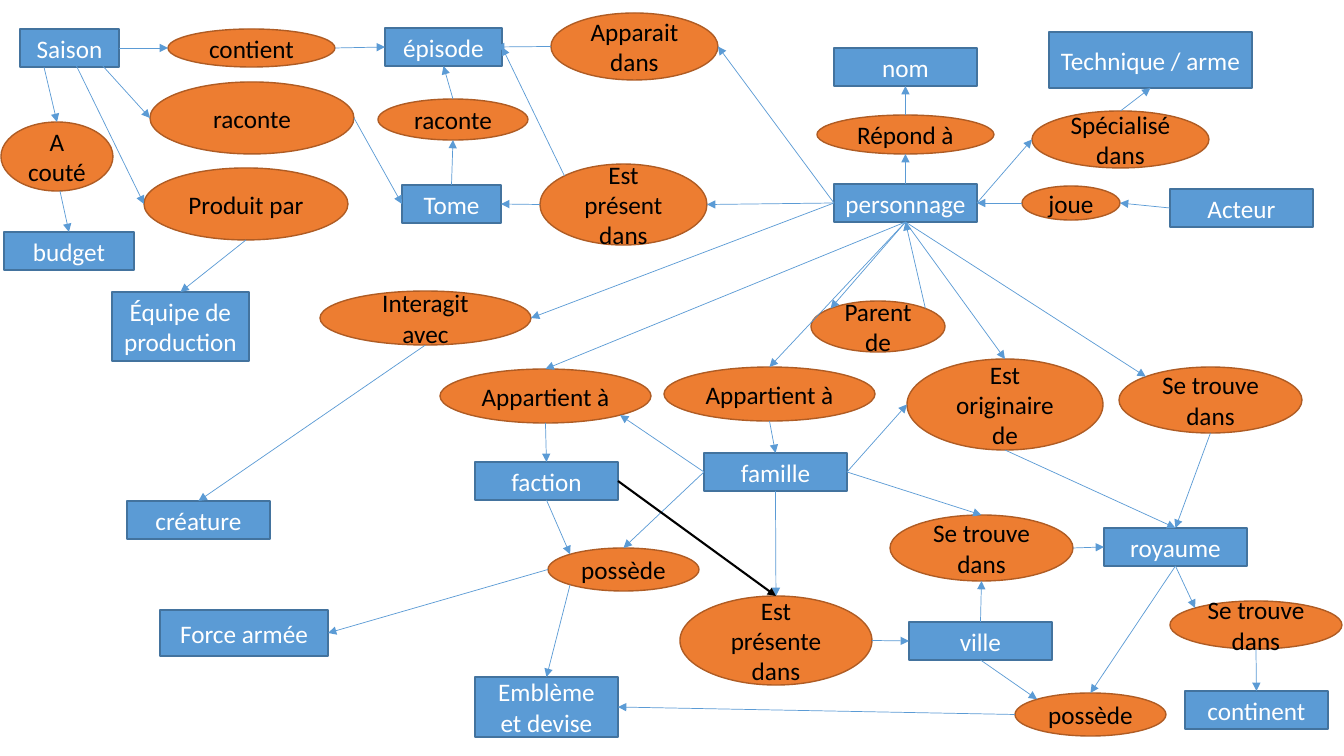
from lxml.etree import SubElement
from pptx import Presentation
from pptx.dml.color import RGBColor
from pptx.enum.shapes import MSO_CONNECTOR as Connector, MSO_SHAPE as Shape
from pptx.enum.text import MSO_ANCHOR as Anchor, PP_ALIGN as Align
from pptx.oxml.ns import qn
from pptx.util import Pt

SCALE = 914400 / 100.8
BLUE = RGBColor(0x5B, 0x9B, 0xD5)
DARK_BLUE = RGBColor(0x43, 0x73, 0x9E)
ORANGE = RGBColor(0xED, 0x7D, 0x31)
BROWN = RGBColor(0xAF, 0x5C, 0x24)
BLACK = RGBColor(0, 0, 0)
WHITE = RGBColor(255, 255, 255)

ENTITY_W, ENTITY_H = 143, 38
ENTITIES = [
    ("Saison", 20, 29, 99, ENTITY_H),
    ("épisode", 385, 28, 117, ENTITY_H),
    ("Tome", 402, 185, 99, ENTITY_H),
    ("budget", 4, 232, 130, ENTITY_H),
    ("Équipe de production", 112, 292, 137, 69),
    ("nom", 834, 48, ENTITY_W, ENTITY_H),
    ("personnage", 834, 184, ENTITY_W, ENTITY_H),
    ("Technique / arme", 1049, 32, 203, 56),
    ("Acteur", 1170, 189, ENTITY_W, ENTITY_H),
    ("famille", 704, 453, ENTITY_W, ENTITY_H),
    ("faction", 475, 462, ENTITY_W, ENTITY_H),
    ("royaume", 1104, 528, ENTITY_W, ENTITY_H),
    ("créature", 127, 501, ENTITY_W, ENTITY_H),
    ("ville", 909, 622, ENTITY_W, ENTITY_H),
    ("Emblème et devise", 475, 677, ENTITY_W, 60),
    ("Force armée", 160, 610, 168, 46),
    ("continent", 1185, 691, ENTITY_W, ENTITY_H),
]

RELATIONS = [
    ("contient", "contient", 168, 29, 167, 38),
    ("saison raconte", "raconte", 150, 82, 204, 72),
    ("produit", "Produit par", 144, 168, 204, 72),
    ("coûte", "A couté", 1, 122, 112, 69),
    ("apparaît", "Apparait dans", 551, 13, 167, 67),
    ("joue", "joue", 1022, 186, 98, 34),
    ("présent", "Est présent dans", 540, 164, 167, 81),
    ("tome raconte", "raconte", 378, 99, 150, 41),
    ("répond", "Répond à", 817, 115, 177, 39),
    ("spécialisé", "Spécialisé dans", 1032, 111, 177, 57),
    ("interagit", "Interagit avec", 320, 291, 211, 54),
    ("parent", "Parent de", 811, 301, 134, 51),
    ("à famille", "Appartient à", 664, 367, 211, 54),
    ("à faction", "Appartient à", 440, 369, 211, 54),
    ("originaire", "Est originaire de", 907, 359, 196, 91),
    ("personnage situé", "Se trouve dans", 1119, 367, 183, 66),
    ("ville située", "Se trouve dans", 890, 515, 183, 66),
    ("royaume situé", "Se trouve dans", 1170, 601, 172, 48),
    ("présente", "Est présente dans", 680, 596, 192, 89),
    ("groupe possède", "possède", 548, 548, 151, 43),
    ("lieu possède", "possède", 1015, 693, 151, 43),
]

DIAGONAL = 0.5 ** 1.5
NEAR, FAR = 0.5 - DIAGONAL, 0.5 + DIAGONAL
RECT_SITES = {"top": (0, 0.5, 0), "left": (1, 0, 0.5),
              "bottom": (2, 0.5, 1), "right": (3, 1, 0.5)}
OVAL_SITES = {"top": (0, 0.5, 0), "top left": (1, NEAR, NEAR),
              "left": (2, 0, 0.5), "bottom left": (3, NEAR, FAR),
              "bottom": (4, 0.5, 1), "bottom right": (5, FAR, FAR),
              "right": (6, 1, 0.5), "top right": (7, FAR, NEAR)}

LINKS = [
    (("Saison", "right"), ("contient", "left")),
    (("contient", "right"), ("épisode", "left")),
    ((101, 64), ("saison raconte", "left")),
    (("saison raconte", "right"), ("Tome", "left")),
    ((76, 65), ("produit", "left")),
    (("produit", "bottom"), ("Équipe de production", "top")),
    ((44, 67), ("coûte", "top")),
    ((60, 191), ("budget", "top")),
    (("apparaît", "left"), (496, 47)),
    (("personnage", "left"), ("apparaît", "right")),
    (("joue", "left"), ("personnage", "right")),
    (("Acteur", "left"), ("joue", "right")),
    (("personnage", "left"), ("présent", "right")),
    (("présent", "left"), ("Tome", "right")),
    (("présent", "top left"), ("épisode", "right")),
    (("Tome", "top"), ("tome raconte", "bottom")),
    (("tome raconte", "top"), ("épisode", "bottom")),
    (("personnage", "top"), ("répond", "bottom")),
    (("répond", "top"), ("nom", "bottom")),
    (("personnage", "right"), ("spécialisé", "left")),
    (("spécialisé", "top"), ("Technique / arme", "bottom")),
    (("personnage", "left"), ("interagit", "right")),
    (("interagit", "bottom"), ("créature", "top")),
    (("personnage", "bottom"), ("parent", "top left")),
    (("parent", "top right"), ("personnage", "bottom")),
    (("personnage", "bottom"), ("à famille", "top")),
    (("à famille", "bottom"), ("famille", "top")),
    (("personnage", "bottom"), ("à faction", "top")),
    (("à faction", "bottom"), ("faction", "top")),
    (("famille", "left"), ("à faction", "bottom right")),
    (("personnage", "bottom"), ("originaire", "top")),
    (("famille", "right"), ("originaire", "left")),
    (("originaire", "bottom"), ("royaume", "top")),
    (("personnage", "bottom"), ("personnage situé", "top left")),
    (("personnage situé", "bottom"), ("royaume", "top")),
    (("famille", "right"), ("ville située", "top")),
    (("ville", "top"), ("ville située", "bottom")),
    (("ville située", "right"), ("royaume", "left")),
    (("famille", "bottom"), ("présente", "top")),
    (("présente", "right"), ("ville", "left")),
    (("famille", "left"), ("groupe possède", "top")),
    (("faction", "bottom"), ("groupe possède", "top left")),
    (("groupe possède", "bottom left"), ("Emblème et devise", "top")),
    (("groupe possède", "left"), ("Force armée", "right")),
    (("ville", "bottom"), ("lieu possède", "top left")),
    (("royaume", "bottom"), ("lieu possède", "top")),
    (("lieu possède", "left"), ("Emblème et devise", "right")),
    (("royaume", "bottom"), ("royaume situé", "top left")),
    (("royaume situé", "bottom"), ("continent", "top")),
]


def px(length):
    return round(length * SCALE)


def write_text(shape, text, size=18, color=BLACK, font="Calibri", align=Align.CENTER):
    frame = shape.text_frame
    frame.word_wrap = True
    frame.vertical_anchor = Anchor.MIDDLE
    paragraph = frame.paragraphs[0]
    paragraph.alignment = align
    run = paragraph.add_run()
    run.text = text
    run.font.size = Pt(size)
    run.font.name = font
    run.font.color.rgb = color


def add_node(slide, kind, text, box, fill, outline, color):
    node = slide.shapes.add_shape(kind, *map(px, box))
    node.shadow.inherit = False
    node.fill.solid()
    node.fill.fore_color.rgb = fill
    node.line.color.rgb = outline
    node.line.width = Pt(1)
    write_text(node, text, color=color)
    return node


def add_entity(slide, text, *box):
    return add_node(slide, Shape.RECTANGLE, text, box, BLUE, DARK_BLUE, WHITE), RECT_SITES


def add_relation(slide, text, *box):
    return add_node(slide, Shape.OVAL, text, box, ORANGE, BROWN, BLACK), OVAL_SITES


def locate(nodes, end):
    if end[0] not in nodes:
        return px(end[0]), px(end[1]), None
    node, sites = nodes[end[0]]
    site, across, down = sites[end[1]]
    x = round(node.left + node.width * across)
    y = round(node.top + node.height * down)
    return x, y, (node.shape_id, site)


def add_link(slide, nodes, start, end, color=BLUE, width=0.5):
    x1, y1, start_glue = locate(nodes, start)
    x2, y2, end_glue = locate(nodes, end)
    link = slide.shapes.add_connector(Connector.STRAIGHT, x1, y1, x2, y2)
    link.line.color.rgb = color
    link.line.width = Pt(width)
    SubElement(link.line._get_or_add_ln(), qn("a:tailEnd"), type="triangle")
    SubElement(link._element.spPr, qn("a:effectLst"))
    glue_list = link._element.find(".//" + qn("p:cNvCxnSpPr"))
    for tag, glue in (("a:stCxn", start_glue), ("a:endCxn", end_glue)):
        if glue:
            SubElement(glue_list, qn(tag), id=str(glue[0]), idx=str(glue[1]))


def main():
    deck = Presentation()
    deck.slide_width, deck.slide_height = px(1344), px(756)
    slide = deck.slides.add_slide(deck.slide_layouts[6])
    nodes = {}
    for text, *box in ENTITIES:
        nodes[text] = add_entity(slide, text, *box)
    for key, text, *box in RELATIONS:
        nodes[key] = add_relation(slide, text, *box)
    for start, end in LINKS:
        add_link(slide, nodes, start, end)
    add_link(slide, nodes, ("faction", "right"), ("présente", "top"), color=BLACK, width=1.5)
    deck.save("out.pptx")


main()
